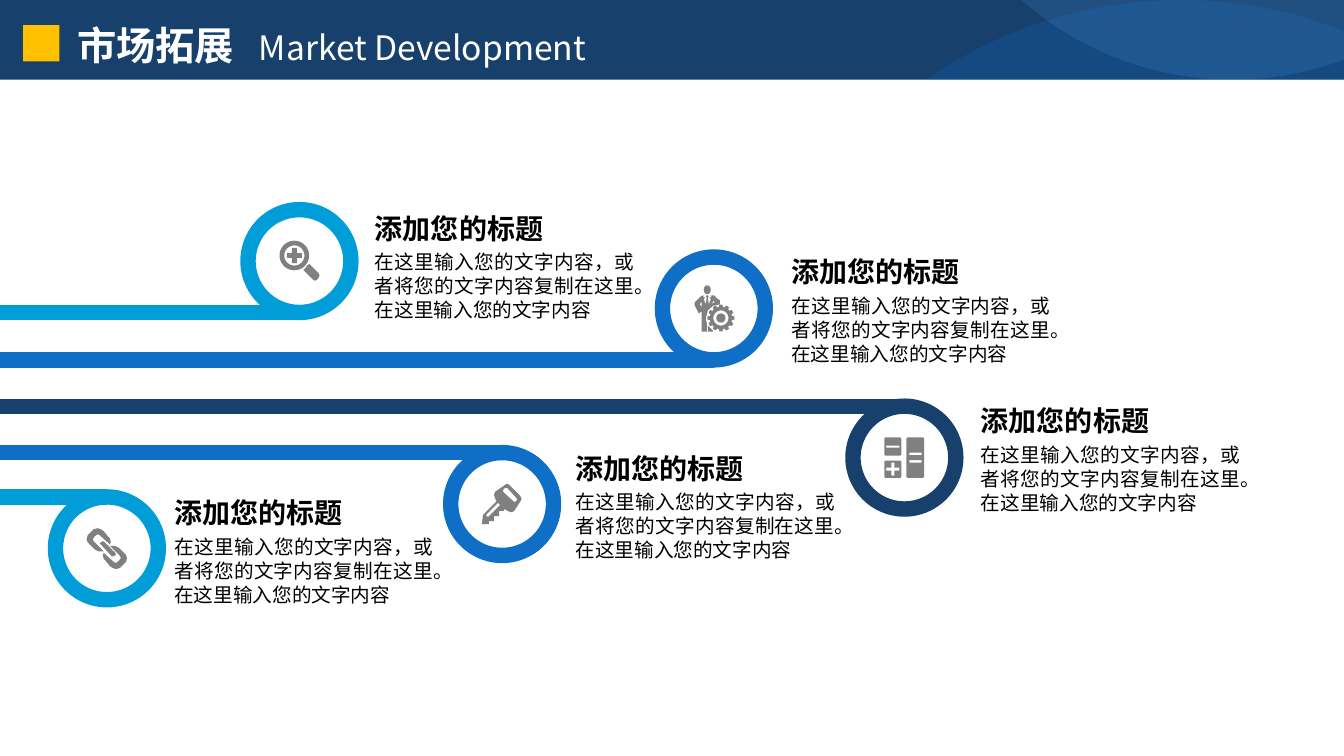
from math import cos, pi, sin

from lxml.etree import SubElement
from pptx import Presentation
from pptx.dml.color import RGBColor
from pptx.enum.shapes import MSO_CONNECTOR as Connector, MSO_SHAPE as Preset
from pptx.enum.text import MSO_AUTO_SIZE as AutoSize, PP_ALIGN as Align
from pptx.oxml.ns import qn
from pptx.util import Inches, Pt

SLIDE_W, SLIDE_H = 13.33, 7.5
HEADER_H = 0.79
RING = 1.02
ICON_INSET = 0.31
LINE_HEIGHT = 1.22
FONT = "Noto Sans CJK SC"
COLORS = {
    "navy": "17406D", "blue": "0F6FC6", "cyan": "009DD9", "sky": "59AAF2",
    "amber": "FFC000", "icon": "808080", "white": "FFFFFF", "black": "000000",
}
HEADING = "添加您的标题"
BODY = "在这里输入您的文字内容，或者将您的文字内容复制在这里。在这里输入您的文字内容"
HEADING_FORMAT = {"size": Pt(20), "bold": True}
BODY_FORMAT = {"size": Pt(14), "bold": False}


def rgb(name):
    return RGBColor.from_string(COLORS[name])


def paint(shape, color, alpha=None):
    shape.shadow.inherit = False
    shape.fill.solid()
    shape.fill.fore_color.rgb = rgb(color)
    shape.line.fill.background()
    if alpha is not None:
        tint = shape.element.spPr.find(qn("a:solidFill"))[0]
        SubElement(tint, qn("a:alpha"), val=str(alpha * 1000))


def add_preset(shapes, preset, color, x, y, w, h):
    shape = shapes.add_shape(preset, *map(Inches, (x, y, w, h)))
    paint(shape, color)
    return shape


def add_outline(shapes, contours, color, x=0, y=0, unit=1.0, alpha=None):
    """Draw closed contours as one shape; inner contours become holes."""
    scaled = [[(Inches(px * unit), Inches(py * unit)) for px, py in contour]
              for contour in contours]
    builder = shapes.build_freeform(*scaled[0][0], scale=1.0)
    builder.add_line_segments(scaled[0][1:], close=True)
    for contour in scaled[1:]:
        builder.move_to(*contour[0])
        builder.add_line_segments(contour[1:], close=True)
    paint(builder.convert_to_shape(Inches(x), Inches(y)), color, alpha)


def bezier(start, pull_a, pull_b, end, steps=24):
    points = []
    for i in range(steps + 1):
        t = i / steps
        weights = ((1 - t) ** 3, 3 * t * (1 - t) ** 2, 3 * t * t * (1 - t), t ** 3)
        points.append(tuple(sum(w * p[axis] for w, p in
                                zip(weights, (start, pull_a, pull_b, end)))
                            for axis in (0, 1)))
    return points


def circle(cx, cy, r, steps=36):
    return [(cx + r * cos(2 * pi * i / steps), cy + r * sin(2 * pi * i / steps))
            for i in range(steps)]


def cross(cx, cy, arm, half):
    quarter = [(-half, -arm), (half, -arm), (half, -half)]
    points = []
    for _ in range(4):
        points += [(cx + px, cy + py) for px, py in quarter]
        quarter = [(-py, px) for px, py in quarter]
    return points


def bar(x, y, w, h, cut=0):
    """Rectangle with its corners cut off."""
    return [(x + cut, y), (x + w - cut, y), (x + w, y + cut), (x + w, y + h - cut),
            (x + w - cut, y + h), (x + cut, y + h), (x, y + h - cut), (x, y + cut)]


UPPER_LINK = [(13, 7), (23, 16), (24, 14), (23, 10), (21, 8), (17, 3), (14, 1), (11, 0),
              (7, 1), (4, 4), (1, 7), (0, 11), (1, 14), (4, 17), (8, 21), (12, 23),
              (17, 23), (7, 13), (6, 11), (8, 8), (11, 6)]
MAGNIFIER = [
    circle(15, 14.5, 14.7), circle(15, 14.5, 10), cross(15, 14.5, 7.5, 2.4),
    [(24, 29), (26, 27), (28, 24), (30, 23), (39, 32), (40, 34), (39, 37),
     (37, 39), (35, 39.5), (33, 38)],
]
CALCULATOR = [
    bar(0, 0, 17, 18, 1), bar(2, 8, 13, 2), bar(0, 23, 17, 17, 1),
    cross(8.5, 31.5, 6.5, 1.5), bar(22, 0, 17.5, 40, 1),
    bar(25, 15, 12, 2.5), bar(25, 22.5, 12, 2.5),
]
KEY = [
    [(38, 12), (27, 1), (25, 0), (23, 1), (13, 8), (12, 11), (14, 17), (15, 17), (1, 31),
     (0, 40), (7, 40), (7, 37), (12, 37), (12, 32), (17, 32), (17, 27), (22, 27),
     (22, 25), (28, 28), (30, 28), (32, 27), (39, 16), (39, 14)],
    [(35, 16), (33, 18), (32, 18), (21, 8), (21, 6), (23, 4), (25, 4), (35, 15)],
    [(6, 33), (4, 31), (16, 19), (18, 21)],
]
CHAIN = [
    UPPER_LINK, [(40 - px, 40.5 - py) for px, py in UPPER_LINK],
    [(26, 28), (25, 28), (14, 16), (13, 15), (14, 14), (16, 13), (17, 13), (28, 24),
     (29, 26), (28, 27)],
]
SUIT = [
    [(26, 16), (26, 12), (23, 10), (20, 7), (17, 7), (18, 8), (16, 9), (17, 11),
     (15, 16), (14, 9), (15, 8), (14, 7), (13, 7), (12, 8), (13, 9), (12, 16), (10, 11),
     (11, 9), (9, 8), (10, 7), (7, 8), (1, 14), (1, 17), (5, 25), (8, 23), (8, 43),
     (13, 43), (13, 35), (12, 30), (14, 22), (19, 17.5)],
    [(19, 14), (19, 12), (21, 14), (16, 16)],
    [(8, 19), (6, 16), (8, 13)],
]
LEG = [[(14, 37), (14, 43), (19, 43), (19, 42)]]
GEAR = (27, 29.5)


def gear_tooth(angle):
    cx, cy = GEAR
    profile = [(9.6, -2.4), (13.3, -1.5), (13.3, 1.5), (9.6, 2.4)]
    return [(cx + r * cos(angle) - s * sin(angle), cy + r * sin(angle) + s * cos(angle))
            for r, s in profile]


def add_manager(shapes, x, y):
    """Business figure beside a twelve-tooth gear."""
    group = shapes.add_group_shape().shapes
    add_preset(group, Preset.OVAL, "icon", x + 0.1, y - 0.03, 0.07, 0.09)
    teeth = [[gear_tooth(pi * i / 6)] for i in range(12)]
    rim = [circle(*GEAR, 11), circle(*GEAR, 7.5)]
    for part in [SUIT, LEG, *teeth, rim, [circle(*GEAR, 4.5)]]:
        add_outline(group, part, "icon", x, y, 0.01)


def add_run(paragraph, text, color, formats):
    run = paragraph.add_run()
    run.text = text
    for name, value in {"name": FONT, **formats}.items():
        setattr(run.font, name, value)
    run.font.color.rgb = rgb(color)
    SubElement(run.font._element, qn("a:ea"), typeface=FONT)


def add_text(slide, x, y, w, h, size):
    frame = slide.shapes.add_textbox(*map(Inches, (x, y, w, h))).text_frame
    frame.word_wrap = True
    frame.auto_size = AutoSize.SHAPE_TO_FIT_TEXT
    paragraph = frame.paragraphs[0]
    paragraph.line_spacing = Pt(round(size.pt * LINE_HEIGHT, 1))
    return paragraph


def add_header(slide, w, h):
    shapes = slide.shapes.add_group_shape().shapes
    add_preset(shapes, Preset.RECTANGLE, "navy", 0, 0, w, h)
    crest = (11.71, 0)
    hill = [*bezier((9.19, h), (9.91, 0.29), (10.78, 0), crest),
            *bezier(crest, (12.28, 0), (12.83, 0.11), (w, 0.31)), (w, h)]
    trough = (12.22, h)
    bowl = [(w, 0), *bezier((w, 0.59), (12.99, 0.72), (12.61, h), trough),
            *bezier(trough, (11.42, h), (10.69, 0.49), (10.13, 0))]
    add_outline(shapes, [hill], "blue", alpha=23)
    add_outline(shapes, [bowl], "sky", alpha=15)
    title = add_text(slide, 0.67, 0.15, 7.27, 0.57, Pt(28))
    stops = SubElement(title._p.get_or_add_pPr(), qn("a:tabLst"))
    SubElement(stops, qn("a:tab"), pos=str(Inches(1.8)), algn="l")
    add_run(title, "市场拓展\t", "white", {"size": Pt(28), "bold": True})
    add_run(title, "Market Development", "white", {"size": Pt(24), "bold": False})
    add_preset(slide.shapes, Preset.RECTANGLE, "amber", 0.23, 0.25, 0.36, 0.36)


def add_milestone(slide, x, y, color, track_side, icon, caption_x, caption_y):
    """Ring with a track from the left edge, an icon and a caption."""
    group = slide.shapes.add_group_shape().shapes
    ring = add_preset(group, Preset.OVAL, "white", x, y, RING, RING)
    track_y = Inches(y + RING * track_side)
    track = group.add_connector(Connector.STRAIGHT, Inches(x + RING / 2), track_y, 0, track_y)
    for stroke in (ring.line, track.line):
        stroke.color.rgb = rgb(color)
        stroke.width = Pt(11)
    SubElement(track.element.spPr, qn("a:effectLst"))
    heading = add_text(slide, caption_x, caption_y, 2.77, 0.44, HEADING_FORMAT["size"])
    add_run(heading, HEADING, "black", HEADING_FORMAT)
    body = add_text(slide, caption_x, caption_y + 0.39, 2.77, 0.81, BODY_FORMAT["size"])
    body.alignment = Align.JUSTIFY
    add_run(body, BODY, "black", BODY_FORMAT)
    if icon is None:
        add_manager(slide.shapes, x + ICON_INSET, y + ICON_INSET)
    else:
        add_outline(slide.shapes, icon, "icon", x + ICON_INSET, y + ICON_INSET, 0.01)


def main():
    deck = Presentation()
    deck.slide_width, deck.slide_height = Inches(SLIDE_W), Inches(SLIDE_H)
    slide = deck.slides.add_slide(deck.slide_layouts[6])
    add_header(slide, SLIDE_W, HEADER_H)
    top, bottom = 0, 1
    for milestone in [
        (2.46, 2.08, "cyan", bottom, MAGNIFIER, 3.62, 2.04),
        (6.57, 2.55, "blue", bottom, None, 7.75, 2.47),
        (8.46, 4.03, "navy", top, CALCULATOR, 9.63, 3.95),
        (4.47, 4.49, "blue", top, KEY, 5.61, 4.42),
        (0.55, 4.93, "cyan", top, CHAIN, 1.63, 4.86),
    ]:
        add_milestone(slide, *milestone)
    deck.save("out.pptx")


if __name__ == "__main__":
    main()
